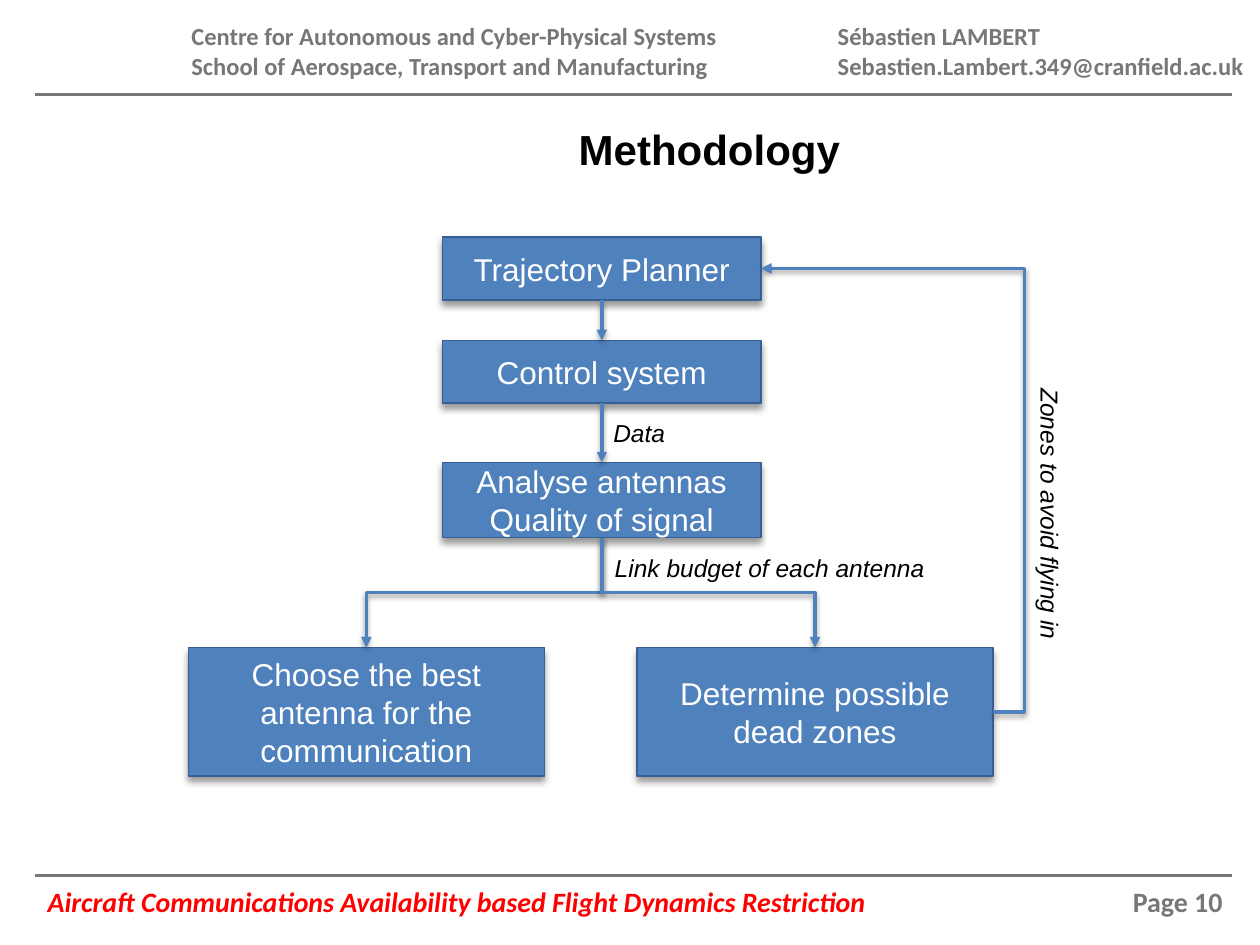
"""Build the Methodology slide: a flow chart of antenna choice and dead zones."""
import lxml.etree
import pptx
import pptx.dml.color
import pptx.enum.shapes
import pptx.enum.text
import pptx.oxml.ns
import pptx.util

Pt = pptx.util.Pt
qn = pptx.oxml.ns.qn
sub = lxml.etree.SubElement
hue = pptx.dml.color.RGBColor.from_string
Kind = pptx.enum.shapes.MSO_CONNECTOR
Side = pptx.enum.text.PP_ALIGN
Hold = pptx.enum.text.MSO_ANCHOR


def write(shape, text, look, color, side=Side.LEFT, hold=Hold.TOP, wrap=True):
    frame = shape.text_frame
    frame.word_wrap, frame.vertical_anchor = wrap, hold
    frame.text = text
    for para in frame.paragraphs:
        para.alignment = side
        for key, val in look.items():
            setattr(para.font, key, val)
        para.font.color.rgb = hue(color)


def shade(shape, blur=0, dist=0, alpha=0):
    effects = sub(shape._element.spPr, qn("a:effectLst"))
    if blur:
        cast = sub(effects, qn("a:outerShdw"), blurRad=str(Pt(blur)),
                   dist=str(Pt(dist)), dir="5400000", rotWithShape="0")
        tint = sub(cast, qn("a:srgbClr"), val="000000")
        sub(tint, qn("a:alpha"), val=str(alpha * 1000))


deck = pptx.Presentation()
deck.slide_width, deck.slide_height = Pt(720), Pt(540)
slide = deck.slides.add_slide(deck.slide_layouts[5])
shapes = slide.shapes

head = {"name": "Calibri", "size": Pt(14), "bold": True}
foot = {"name": "Calibri", "size": Pt(16), "bold": True}
body = {"name": "Arial", "size": Pt(18)}
note = {"name": "Arial", "size": Pt(14), "italic": True}

title = shapes.title
for key, val in {"left": 108, "top": 67, "width": 594.7, "height": 36}.items():
    setattr(title, key, Pt(val))
write(title, "Methodology", {"name": "Arial", "size": Pt(24), "bold": True},
      "000000", Side.CENTER)

for y in (54, 500.4):
    rule = shapes.add_connector(Kind.STRAIGHT, Pt(20.16), Pt(y), Pt(704.16), Pt(y))
    rule.line.width = Pt(1.5)
    rule.line.color.rgb = hue("777777")
    shade(rule)

for x, wide, text in (
    (102.24, 317.5, "Centre for Autonomous and Cyber-Physical Systems\n"
                    "School of Aerospace, Transport and Manufacturing"),
    (471.6, 248.4, "Sébastien LAMBERT\nSebastien.Lambert.349@cranfield.ac.uk"),
):
    box = shapes.add_textbox(Pt(x), Pt(8.64), Pt(wide), Pt(41))
    write(box, text, head, "777777", wrap=False)

for x, wide, text, color, side, slant in (
    (20.16, 614.2, "Aircraft Communications Availability based Flight Dynamics Restriction",
     "FF0000", Side.LEFT, True),
    (620.64, 85, "Page 10", "777777", Side.RIGHT, False),
):
    box = shapes.add_textbox(Pt(x), Pt(500.4), Pt(wide), Pt(28.8))
    write(box, text, foot | {"italic": slant}, color, side, Hold.MIDDLE)

for x, y, wide, high, text in (
    (252.72, 135.4, 182.2, 36, "Trajectory Planner"),
    (252.72, 194.4, 182.2, 36, "Control system"),
    (252.72, 264.2, 182.2, 43.2, "Analyse antennas Quality of signal"),
    (107.6, 370, 203.4, 73.4, "Choose the best antenna for the communication"),
    (364, 370, 203.4, 73.4, "Determine possible dead zones"),
):
    box = shapes.add_shape(pptx.enum.shapes.MSO_SHAPE.RECTANGLE,
                           Pt(x), Pt(y), Pt(wide), Pt(high))
    box.fill.solid()
    box.fill.fore_color.rgb = hue("4F81BD")
    box.line.color.rgb = hue("376092")
    box.line.width = Pt(0.75)
    shade(box, 4, 3, 40)
    write(box, text, body, "FFFFFF", Side.CENTER, Hold.MIDDLE)

mid = 343.9
links = [shapes.add_connector(Kind.STRAIGHT, Pt(mid), Pt(top), Pt(mid), Pt(low))
         for top, low in ((171.4, 194.4), (230.4, 264.2))]

top, low = 307.4, 370
for goal, sign, turn in ((209.3, 1, 90), (465.7, -1, 270)):
    x, y = (mid + goal) / 2, (top + low) / 2
    half, rise = sign * (low - top) / 2, abs(goal - mid) / 2
    fork = shapes.add_connector(Kind.ELBOW, Pt(x - half), Pt(y - rise),
                                Pt(x + half), Pt(y + rise))
    fork._element.spPr.find(qn("a:xfrm")).set("rot", str(turn * 60000))
    links.append(fork)

back = shapes.add_connector(Kind.ELBOW, Pt(567.4), Pt(406.8), Pt(434.9), Pt(153.4))
bend = back._element.spPr.find(qn("a:prstGeom")).find(qn("a:avLst"))
sub(bend, qn("a:gd"), name="adj1", fmla="val -13600")
links.append(back)

for link in links:
    link.line.width = Pt(2)
    link.line.color.rgb = hue("4F81BD")
    sub(link._element.spPr.find(qn("a:ln")), qn("a:tailEnd"), type="triangle")
    shade(link, 3.1, 1.6, 38)

for x, y, wide, turn, text in (
    (343.4, 235.6, 75, 0, "Data"),
    (344.2, 312.5, 208, 0, "Link budget of each antenna"),
    (496.1, 306.7, 208, 90, "Zones to avoid flying in"),
):
    box = shapes.add_textbox(Pt(x), Pt(y), Pt(wide), Pt(24.2))
    box.rotation = turn
    write(box, text, note, "000000")

deck.save("out.pptx")
